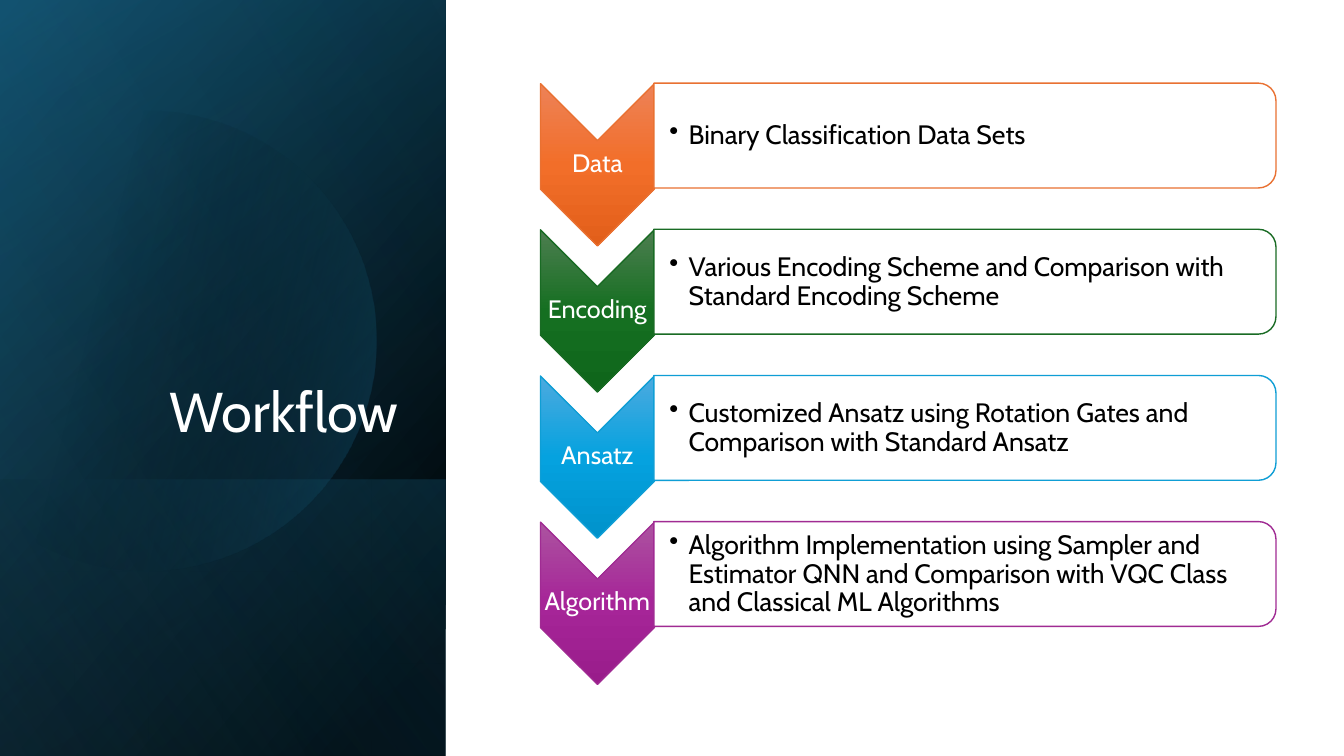
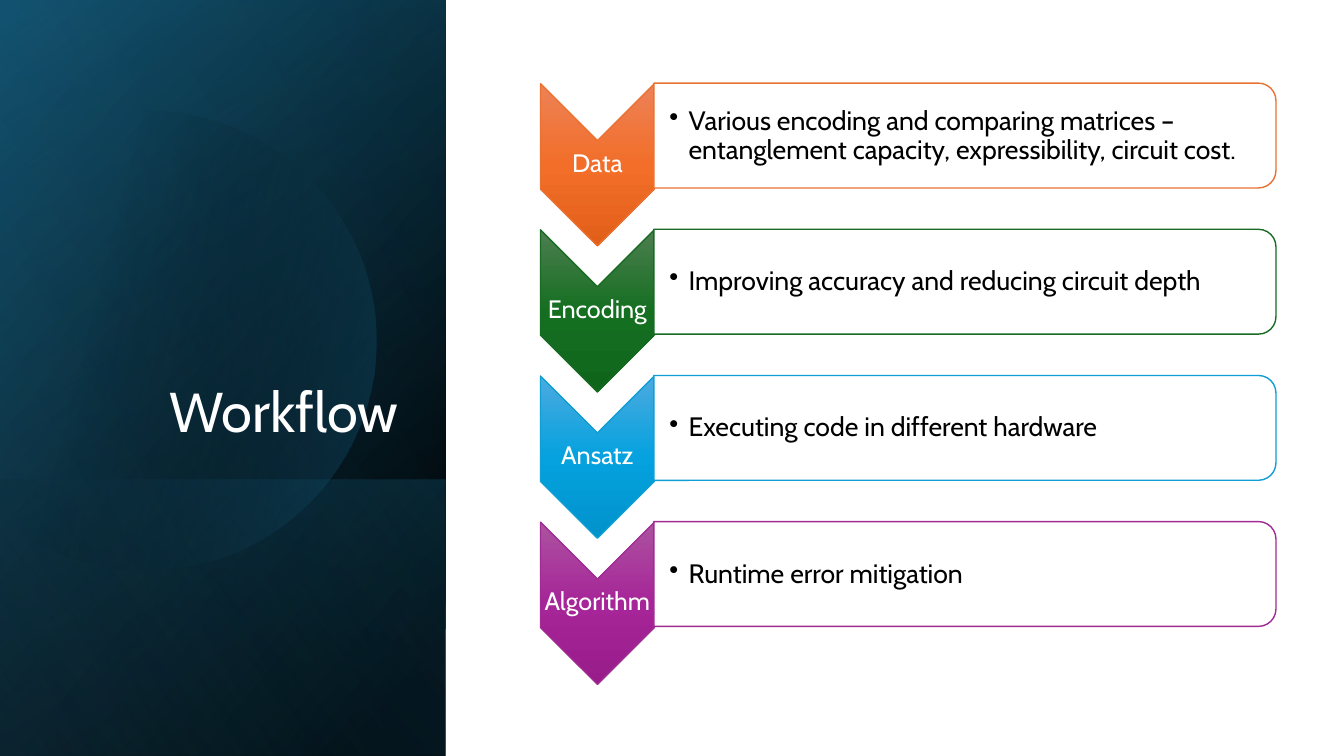
import math

from lxml import etree
from pptx import Presentation
from pptx.dml.color import RGBColor
from pptx.enum import shapes, text
from pptx.oxml import ns
from pptx.util import Inches, Pt

FONT = "Cabin"
WHITE = RGBColor(0xFF, 0xFF, 0xFF)
BLACK = RGBColor(0, 0, 0)
NAVY = RGBColor(0x10, 0x48, 0x62)
TEAL = RGBColor(0x15, 0x60, 0x82)
SKY = RGBColor(0x46, 0xB1, 0xE1)

# Step name, outline colour, gradient from top to bottom
STEPS = [
    ("Data", RGBColor(0xE9, 0x71, 0x32),
     [RGBColor(0xED, 0x82, 0x57), RGBColor(0xF2, 0x6E, 0x29), RGBColor(0xE2, 0x5F, 0x1A)]),
    ("Encoding", RGBColor(0x19, 0x6B, 0x24),
     [RGBColor(0x4D, 0x7E, 0x50), RGBColor(0x15, 0x6F, 0x21), RGBColor(0x0F, 0x66, 0x1B)]),
    ("Ansatz", RGBColor(0x0F, 0x9E, 0xD5),
     [RGBColor(0x4C, 0xAA, 0xDF), RGBColor(0x05, 0xA2, 0xDF), RGBColor(0x00, 0x92, 0xCB)]),
    ("Algorithm", RGBColor(0xA0, 0x2B, 0x93),
     [RGBColor(0xAC, 0x53, 0xA0), RGBColor(0xA6, 0x25, 0x98), RGBColor(0x99, 0x1C, 0x8B)]),
]
PAGES = [
    ["Binary Classification Data Sets",
     "Various Encoding Scheme and Comparison with Standard Encoding Scheme",
     "Customized Ansatz using Rotation Gates and Comparison with Standard Ansatz",
     "Algorithm Implementation using Sampler and Estimator QNN and Comparison "
     "with VQC Class and Classical ML Algorithms"],
    ["Various encoding and comparing matrices – entanglement capacity, "
     "expressibility, circuit cost.",
     "Improving accuracy and reducing circuit depth",
     "Executing code in different hardware",
     "Runtime error mitigation"],
]
PITCH = 1.45
PANEL = 4.42


def blend(shape, stops, angle):
    """Fill with a linear gradient; stops are (percent, colour, opacity percent)."""
    shape.shadow.inherit = False
    shape.fill.background()
    blank = shape.element.spPr.find(ns.qn("a:noFill"))
    grad = etree.Element(ns.qn("a:gradFill"), rotWithShape="1")
    stop_list = etree.SubElement(grad, ns.qn("a:gsLst"))
    for place, color, alpha in stops:
        stop = etree.SubElement(stop_list, ns.qn("a:gs"), pos=str(place * 1000))
        tint = etree.SubElement(stop, ns.qn("a:srgbClr"), val=str(color))
        if alpha < 100:
            etree.SubElement(tint, ns.qn("a:alpha"), val=str(alpha * 1000))
    etree.SubElement(grad, ns.qn("a:lin"), ang=str(angle * 60000), scaled="0")
    blank.getparent().replace(blank, grad)


def write(slide, box, words, size, color, align, left=0.01):
    """Add a wrapped, vertically centred text box and return its paragraph."""
    frame = slide.shapes.add_textbox(*map(Inches, box)).text_frame
    frame.word_wrap = True
    frame.vertical_anchor = text.MSO_ANCHOR.MIDDLE
    frame.margin_left = Inches(left)
    frame.margin_right = frame.margin_top = frame.margin_bottom = Inches(0.01)
    para = frame.paragraphs[0]
    para.text = words
    para.alignment = align
    para.line_spacing = 0.9
    para.font.name, para.font.size, para.font.color.rgb = FONT, Pt(size), color
    return para


deck = Presentation()
deck.slide_width, deck.slide_height = Inches(13.33), Inches(7.5)
layout = deck.slide_layouts[5]
slides = [deck.slides.add_slide(layout) for page in PAGES]

# Shared title place and side panel, kept on the layout
title = layout.placeholders[0]
title.left, title.top, title.width, title.height = map(Inches, (0.64, 1.84, 3.41, 2.62))
title.text_frame.vertical_anchor = text.MSO_ANCHOR.BOTTOM
title.text_frame.auto_size = text.MSO_AUTO_SIZE.NONE

draft = slides[0].shapes
mid_x, mid_y, radius = 1.45, 3.38, 2.28
sweep = math.acos(-mid_x / radius)
arc = []
for i in range(121):
    turn = sweep * (i / 60 - 1)
    arc.append((Inches(mid_x + radius * math.cos(turn)),
                Inches(mid_y + radius * math.sin(turn))))
pen = draft.build_freeform(*arc[0])
pen.add_line_segments(arc[1:], close=True)
disc = pen.convert_to_shape()

layers = [
    (0, [(8, BLACK, 100), (100, NAVY, 100)], 220),
    (0, [(0, BLACK, 0), (99, TEAL, 46)], 240),
    (4.76, [(2, TEAL, 29), (100, BLACK, 30)], 140),
    (None, [(29, BLACK, 0), (100, TEAL, 43)], 14),
    (0, [(0, BLACK, 0), (99, SKY, 11)], 150),
]
for top, stops, angle in layers:
    if top is None:
        layer = disc
    else:
        layer = draft.add_shape(shapes.MSO_SHAPE.RECTANGLE, 0, Inches(top),
                                Inches(PANEL), Inches(7.5 - top))
    blend(layer, stops, angle)
    layer.line.fill.background()
    title.element.addprevious(layer.element)

for slide, points in zip(slides, PAGES):
    slide.shapes.title.text = "Workflow"
    head = slide.shapes.title.text_frame.paragraphs[0]
    head.alignment = text.PP_ALIGN.RIGHT
    head.line_spacing = 0.9
    head.font.name, head.font.size, head.font.color.rgb = FONT, Pt(40), WHITE

    for row, ((name, color, shades), point) in enumerate(zip(STEPS, points)):
        drop = row * PITCH
        arrow = slide.shapes.add_shape(shapes.MSO_SHAPE.CHEVRON, Inches(5.12),
                                       Inches(1.07 + drop), Inches(1.61), Inches(1.13))
        blend(arrow, [(50 * i, shade, 100) for i, shade in enumerate(shades)], 0)
        frame = slide.shapes.add_shape(shapes.MSO_SHAPE.ROUND_2_SAME_RECTANGLE, Inches(9.05),
                                       Inches(-1.74 + drop), Inches(1.04), Inches(6.17))
        frame.shadow.inherit = False
        frame.fill.solid()
        frame.fill.fore_color.rgb = WHITE
        for shape in (arrow, frame):
            shape.rotation = 90
            shape.line.color.rgb = color
            shape.line.width = Pt(1)

        write(slide, (5.36, 1.39 + drop, 1.13, 0.48), name, 18, WHITE, text.PP_ALIGN.CENTER)
        para = write(slide, (6.49, 0.88 + drop, 6.11, 0.94), point, 19, BLACK,
                     text.PP_ALIGN.LEFT, 0.15)
        props = para._p.get_or_add_pPr()
        props.set("marL", str(Inches(0.19)))
        props.set("indent", str(Inches(-0.19)))
        mark = etree.Element(ns.qn("a:buChar"), char="•")
        props.find(ns.qn("a:defRPr")).addprevious(mark)

deck.save("out.pptx")
